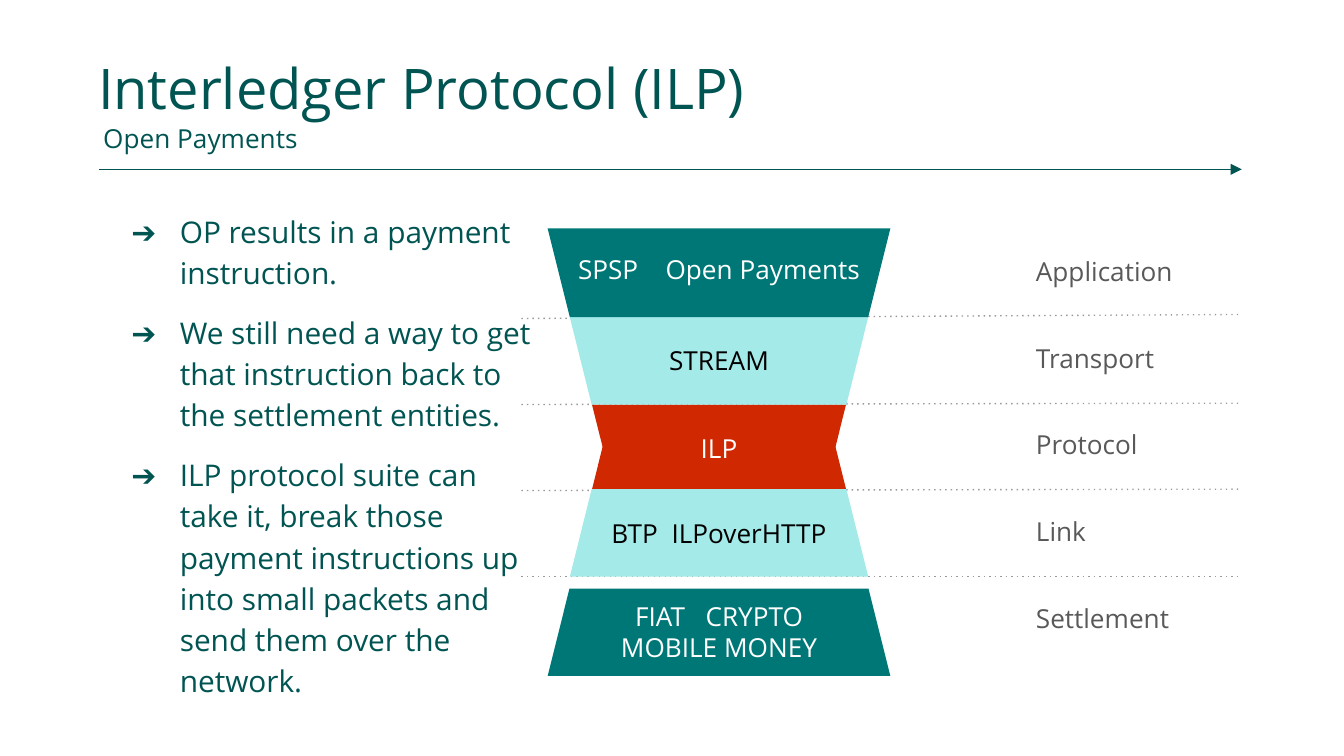
"""Build the Interledger Protocol slide with its hourglass of protocol layers."""
from lxml.etree import SubElement
from pptx import Presentation
from pptx.dml.color import RGBColor
from pptx.enum.shapes import MSO_CONNECTOR, MSO_SHAPE
from pptx.enum.text import MSO_ANCHOR, MSO_AUTO_SIZE, PP_ALIGN
from pptx.oxml.ns import qn
from pptx.util import Inches, Pt

FONT = "Open Sans"
INK, TEAL, AQUA, RED = "005452", "007777", "A4EAE8", "D02801"
WHITE, BLACK, GREY, DOTS = "FFFFFF", "000000", "595959", "999999"

TITLE = "Interledger Protocol (ILP)"
SUBTITLE = "Open Payments"
POINTS = [
    "OP results in a payment instruction.",
    "We still need a way to get that instruction back to the settlement entities.",
    "ILP protocol suite can take it, break those payment instructions up "
    "into small packets and send them over the network.",
]
# role, lines of protocols, gap between protocols in spaces, colour, label middle
LAYERS = [
    ("Application", [["SPSP", "Open Payments"]], 4, WHITE, 2.0),
    ("Transport", [["STREAM"]], 1, BLACK, 2.68),
    ("Protocol", [["ILP"]], 1, WHITE, 3.33),
    ("Link", [["BTP", "ILPoverHTTP"]], 2, BLACK, 3.97),
    ("Settlement", [["FIAT", "CRYPTO"], ["MOBILE MONEY"]], 3, WHITE, 4.7),
]
# top, width, height, fill, widest at the top
BANDS = [
    (4.38, 2.55, 0.65, TEAL, False),
    (3.31, 1.89, 0.33, RED, False),
    (3.01, 1.89, 0.33, RED, True),
    (3.64, 2.22, 0.65, AQUA, False),
    (2.36, 2.22, 0.65, AQUA, True),
    (1.7, 2.55, 0.66, TEAL, True),
]
DIVIDERS = [(2.37, 2.34), (3.01, 3.0), (3.65, 3.64), (4.29, 4.29)]

CENTRE, RIGHT = 5.35, 9.24
LABEL_WIDTH, LABEL_HEIGHT = 2.39, 0.48
ROLE_LEFT, ROLE_TOP, ROLE_BOTTOM = 7.61, 1.8, 4.38
SPACE_WIDTH = 3.64


def rgb(value):
    """Turn a hex string into a colour."""
    return RGBColor.from_string(value)


def style_run(run, size, colour):
    """Set the font, size and colour of a run."""
    run.font.name, run.font.size = FONT, Pt(size)
    run.font.color.rgb = rgb(colour)


def prepare(box, left, top, width, height, anchor=MSO_ANCHOR.TOP):
    """Place a text holder and give it even insets and wrapping."""
    box.left, box.top = Inches(left), Inches(top)
    box.width, box.height = Inches(width), Inches(height)
    frame = box.text_frame
    frame.word_wrap, frame.vertical_anchor = True, anchor
    frame.auto_size = MSO_AUTO_SIZE.NONE
    frame.margin_left = frame.margin_right = Inches(0.1)
    frame.margin_top = frame.margin_bottom = Inches(0.1)
    return frame


def add_box(slide, *place, anchor=MSO_ANCHOR.TOP):
    """Add an empty text box and return its frame."""
    box = slide.shapes.add_textbox(0, 0, 0, 0)
    return prepare(box, *place, anchor=anchor)


def write(frame, lines, size, colour):
    """Write one styled paragraph per line."""
    frame.text = "\n".join(lines)
    for paragraph in frame.paragraphs:
        paragraph.alignment = PP_ALIGN.LEFT
        for run in paragraph.runs:
            style_run(run, size, colour)


def add_line(slide, start, end, colour, ending, value):
    """Draw a thin line with one extra dash or arrowhead element."""
    line = slide.shapes.add_connector(
        MSO_CONNECTOR.STRAIGHT, *(Inches(v) for v in (*start, *end)))
    line.line.color.rgb, line.line.width = rgb(colour), Pt(0.75)
    properties = line.element.spPr
    attribute = "type" if ending == "a:tailEnd" else "val"
    SubElement(properties.find(qn("a:ln")), qn(ending)).set(attribute, value)
    SubElement(properties, qn("a:effectLst"))


def add_band(slide, top, width, height, fill, widest_at_top):
    """Draw one trapezoid of the hourglass."""
    band = slide.shapes.add_shape(
        MSO_SHAPE.TRAPEZOID, Inches(CENTRE - width / 2), Inches(top),
        Inches(width), Inches(height))
    band.adjustments[0] = 0.25
    band.rotation = 180 if widest_at_top else 0
    band.shadow.inherit = False
    band.fill.solid()
    band.fill.fore_color.rgb = rgb(fill)
    band.line.fill.background()


def add_label(slide, lines, gap, colour, middle):
    """Write the protocols of a layer, widening the space between them."""
    frame = add_box(slide, CENTRE - LABEL_WIDTH / 2, middle - LABEL_HEIGHT / 2,
                    LABEL_WIDTH, LABEL_HEIGHT, anchor=MSO_ANCHOR.MIDDLE)
    for index, protocols in enumerate(lines):
        paragraph = frame.add_paragraph() if index else frame.paragraphs[0]
        paragraph.alignment = PP_ALIGN.CENTER
        for position, protocol in enumerate(protocols):
            for part in ([" "] if position else []) + [protocol]:
                run = paragraph.add_run()
                run.text = part
                style_run(run, 14, colour)
                if part == " ":
                    spacing = round((gap - 1) * SPACE_WIDTH * 100)
                    run.font._element.set("spc", str(spacing))


def add_points(slide):
    """Write the arrow-bulleted explanation."""
    frame = add_box(slide, 0.74, 1.45, 3.34, 3.38)
    write(frame, POINTS, 16, INK)
    for index, paragraph in enumerate(frame.paragraphs):
        paragraph.line_spacing = 1.15
        paragraph.space_before = Pt(10 if index else 0)
        paragraph.space_after = Pt(10 if index == len(POINTS) - 1 else 0)
        properties = paragraph._p.get_or_add_pPr()
        properties.set("marL", str(Inches(0.5)))
        properties.set("indent", str(Inches(-0.36)))
        bullet_colour = SubElement(properties, qn("a:buClr"))
        SubElement(bullet_colour, qn("a:srgbClr")).set("val", INK)
        SubElement(properties, qn("a:buFont")).set("typeface", FONT)
        SubElement(properties, qn("a:buChar")).set("char", "➔")


def main():
    """Assemble and save the slide."""
    deck = Presentation()
    deck.slide_width = Inches(10)
    deck.slide_height = deck.slide_width * 9 // 16
    slide = deck.slides.add_slide(deck.slide_layouts[5])

    title = prepare(slide.shapes.title, 0.63, 0.33, 8.43, 0.63, MSO_ANCHOR.MIDDLE)
    write(title, [TITLE], 30, INK)
    subtitle = add_box(slide, 0.67, 0.81, 8.5, 0.44)
    write(subtitle, [SUBTITLE], 14, INK)
    subtitle.auto_size = MSO_AUTO_SIZE.SHAPE_TO_FIT_TEXT
    add_line(slide, (0.74, 1.26), (RIGHT, 1.26), INK, "a:tailEnd", "triangle")

    for left_y, right_y in DIVIDERS:
        add_line(slide, (3.88, left_y), (RIGHT, right_y), DOTS, "a:prstDash", "dot")
    for band in BANDS:
        add_band(slide, *band)
    role_step = (ROLE_BOTTOM - ROLE_TOP) / (len(LAYERS) - 1)
    for index, (role, *label) in enumerate(LAYERS):
        add_label(slide, *label)
        role_frame = add_box(slide, ROLE_LEFT, ROLE_TOP + index * role_step,
                             1.53, LABEL_HEIGHT)
        write(role_frame, [role], 14, GREY)
    add_points(slide)
    deck.save("out.pptx")


if __name__ == "__main__":
    main()
